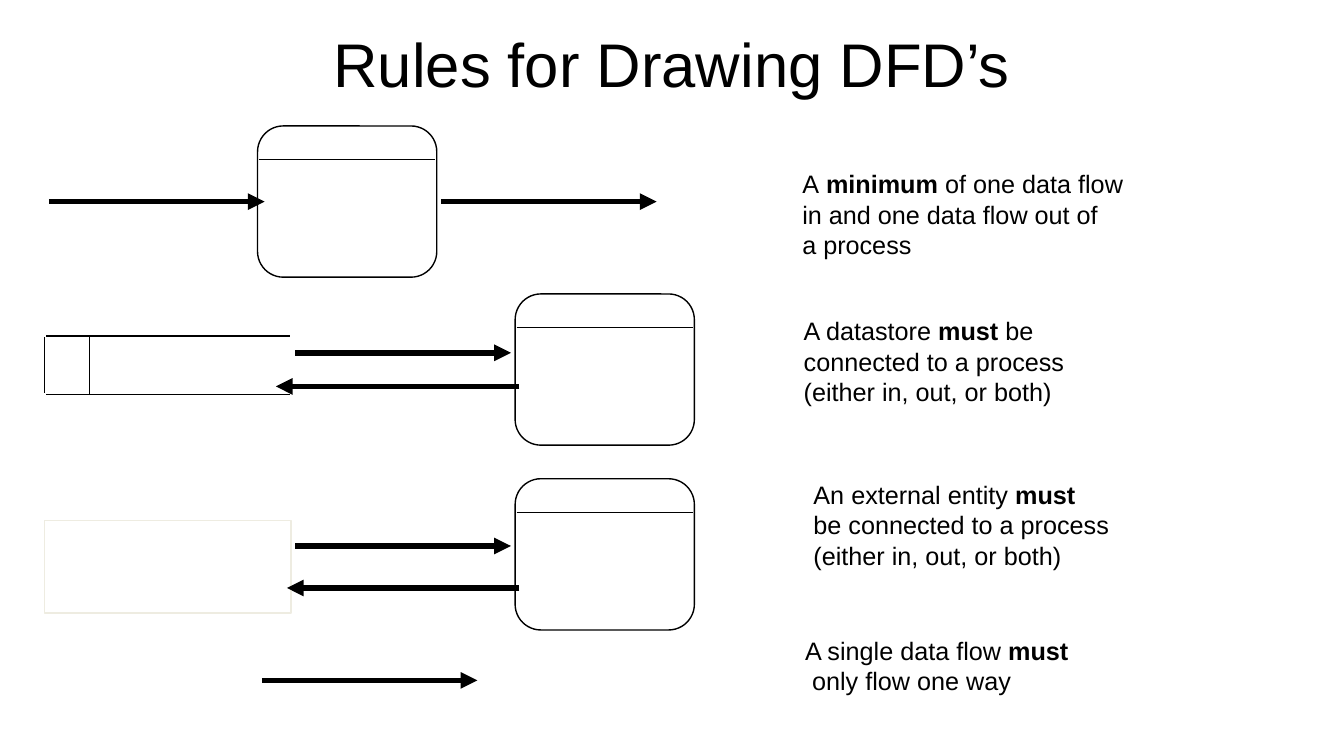
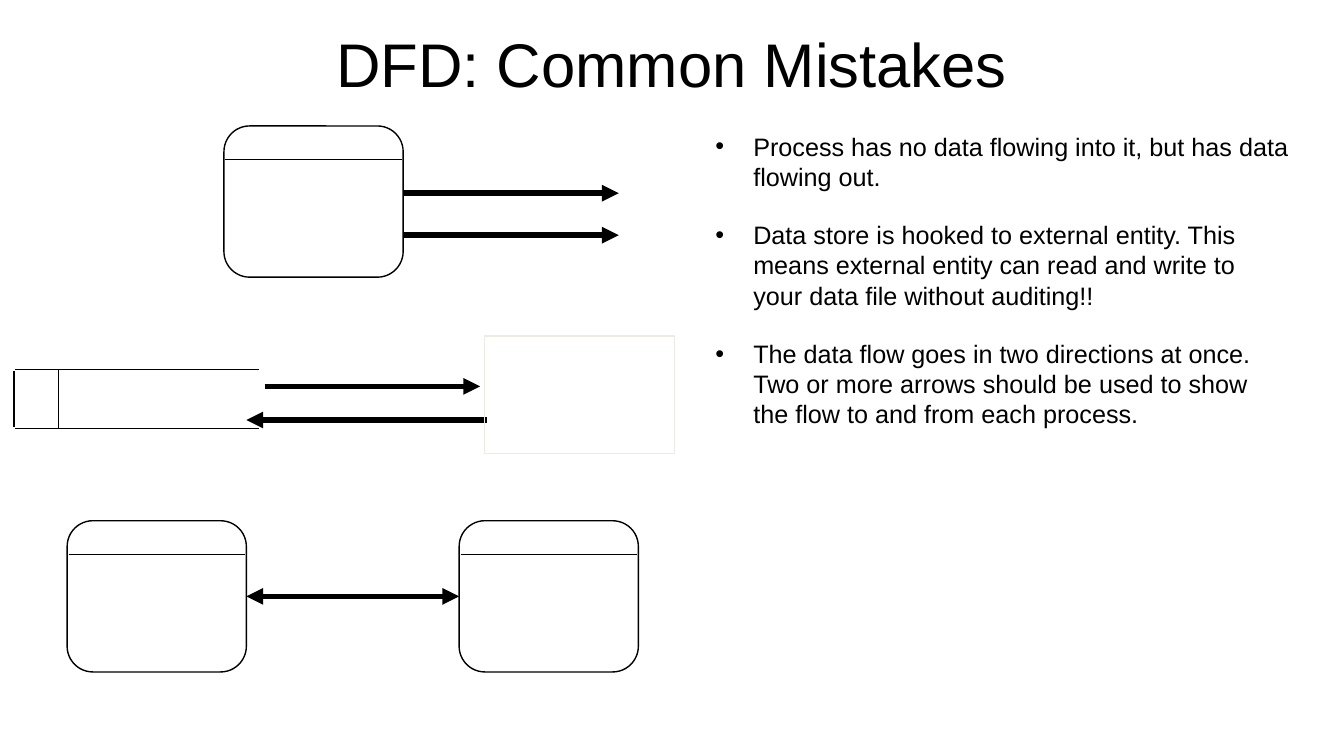
from dataclasses import dataclass

from lxml.etree import SubElement
from pptx import Presentation
from pptx.dml.color import RGBColor
from pptx.enum.shapes import MSO_CONNECTOR, MSO_SHAPE
from pptx.enum.text import MSO_ANCHOR, PP_ALIGN
from pptx.oxml.ns import qn
from pptx.shapes.autoshape import Shape
from pptx.shapes.connector import Connector
from pptx.slide import Slide
from pptx.text.text import TextFrame, _Paragraph
from pptx.util import Pt

COLORS = {"ink": "000000", "entity": "EEECE1"}
TITLE = {"name": "Arial", "size": Pt(44)}
BODY = {"name": "Arial", "size": Pt(18)}
PROCESS_W, PROCESS_H, PROCESS_BAND = 128, 108, 24
STORE_W, STORE_H, STORE_ID_W = 175, 42, 32
NOTE_W, NOTE_H = 260, 73
BULLET_INDENT, BULLET_GAP = 27, 20


@dataclass(frozen=True)
class Flow:
    """A horizontal data flow, pointing from x1 to x2."""
    x1: float
    x2: float
    y: float


@dataclass(frozen=True)
class Box:
    x: float
    y: float
    w: float
    h: float


@dataclass(frozen=True)
class Note:
    """A rule in words; text between asterisks is bold."""
    x: float
    y: float
    lines: tuple[str, ...]


RULE_PROCESSES = [(184, 90), (368, 210), (368, 342)]
RULE_FLOWS = [
    Flow(35, 189, 144), Flow(315, 469, 144),
    Flow(211, 365, 252), Flow(371, 197, 276),
    Flow(211, 365, 390), Flow(371, 205, 420),
    Flow(187, 341, 486),
]
RULE_NOTES = [
    Note(566, 117, ("A* minimum* of one data flow",
                    "in and one data flow out of", "a process")),
    Note(567, 222, ("A datastore *must *be", "connected to a process",
                    "(either in, out, or both)")),
    Note(574, 339, ("An external entity *must*", "be connected to a process",
                    "(either in, out, or both)")),
    Note(568, 450, ("A single data flow *must*", " only flow one way")),
]
MISTAKE_FLOWS = [
    Flow(288, 442, 138), Flow(288, 442, 168),
    Flow(189, 343, 276), Flow(348, 176, 300),
]
MISTAKES = [
    "Process has no data flowing into it, but has data flowing out.",
    "Data store is hooked to external entity. This means external entity "
    "can read and write to your data file without auditing!!",
    "The data flow goes in two directions at once. Two or more arrows "
    "should be used to show the flow to and from each process.",
]


def color(name: str) -> RGBColor:
    return RGBColor.from_string(COLORS[name])


def add_run(p: _Paragraph, text: str, fmt: dict) -> None:
    r = p.add_run()
    r.text = text
    for key, value in fmt.items():
        setattr(r.font, key, value)
    r.font.color.rgb = color("ink")


def add_text_frame(s: Slide, box: Box) -> TextFrame:
    tf = s.shapes.add_textbox(Pt(box.x), Pt(box.y), Pt(box.w), Pt(box.h)).text_frame
    tf.word_wrap = True
    return tf


def next_paragraph(tf: TextFrame, index: int) -> _Paragraph:
    return tf.add_paragraph() if index else tf.paragraphs[0]


def add_line(s: Slide, x1: float, y1: float, x2: float, y2: float,
             width: float = 1) -> Connector:
    line = s.shapes.add_connector(MSO_CONNECTOR.STRAIGHT, Pt(x1), Pt(y1), Pt(x2), Pt(y2))
    line.line.width = Pt(width)
    line.line.color.rgb = color("ink")
    SubElement(line._element.spPr, qn("a:effectLst"))
    return line


def add_flow(s: Slide, flow: Flow, both_ways: bool = False) -> Connector:
    line = add_line(s, flow.x1, flow.y, flow.x2, flow.y, width=4)
    ln = line.line._get_or_add_ln()
    for end in ("headEnd", "tailEnd") if both_ways else ("tailEnd",):
        SubElement(ln, qn(f"a:{end}"), type="triangle")
    return line


def add_outline(s: Slide, kind: MSO_SHAPE, box: Box, line_color: str) -> Shape:
    sp = s.shapes.add_shape(kind, Pt(box.x), Pt(box.y), Pt(box.w), Pt(box.h))
    sp.shadow.inherit = False
    sp.fill.background()
    sp.line.width = Pt(1)
    sp.line.color.rgb = color(line_color)
    return sp


def add_entity(s: Slide, box: Box) -> None:
    add_outline(s, MSO_SHAPE.RECTANGLE, box, "entity")


def add_process(s: Slide, x: float, y: float) -> Shape:
    sp = add_outline(s, MSO_SHAPE.ROUNDED_RECTANGLE, Box(x, y, PROCESS_W, PROCESS_H), "ink")
    sp.adjustments[0] = 0.17
    band_y = y + PROCESS_BAND
    add_line(s, x + 1, band_y, x + PROCESS_W - 1, band_y)
    return sp


def add_store(s: Slide, x: float, y: float) -> None:
    """Draw a data store: a box open on the right, with an ID cell."""
    for edge_y in (y, y + STORE_H):
        add_line(s, x + 1, edge_y, x + STORE_W, edge_y)
    add_line(s, x, y + 1, x, y + STORE_H - 1)
    add_line(s, x + STORE_ID_W, y, x + STORE_ID_W, y + STORE_H, width=0.75)


def add_note(s: Slide, note: Note) -> None:
    tf = add_text_frame(s, Box(note.x, note.y, NOTE_W, NOTE_H))
    for i, line in enumerate(note.lines):
        p = next_paragraph(tf, i)
        for j, part in enumerate(line.split("*")):
            if part:
                add_run(p, part, BODY | {"bold": j % 2 == 1})


def add_bullets(s: Slide, box: Box, items: list[str]) -> None:
    tf = add_text_frame(s, box)
    for i, item in enumerate(items):
        p = next_paragraph(tf, i)
        if i:
            p.space_before = Pt(BULLET_GAP)
        pPr = p._p.get_or_add_pPr()
        pPr.set("marL", str(Pt(BULLET_INDENT)))
        pPr.set("indent", str(-Pt(BULLET_INDENT)))
        SubElement(pPr, qn("a:buFont"), typeface="Arial")
        SubElement(pPr, qn("a:buChar"), char="•")
        add_run(p, item, BODY)


def add_titled_slide(prs: Presentation, title: str) -> Slide:
    s = prs.slides.add_slide(prs.slide_layouts[6])
    tf = add_text_frame(s, Box(72, 0, 816, 90))
    tf.vertical_anchor = MSO_ANCHOR.MIDDLE
    p = tf.paragraphs[0]
    p.alignment = PP_ALIGN.CENTER
    add_run(p, title, TITLE)
    return s


def build_rules(prs: Presentation) -> None:
    s = add_titled_slide(prs, "Rules for Drawing DFD’s")
    add_entity(s, Box(32, 372, 176, 66))
    add_store(s, 32, 240)
    for x, y in RULE_PROCESSES:
        add_process(s, x, y)
    for flow in RULE_FLOWS:
        add_flow(s, flow)
    for note in RULE_NOTES:
        add_note(s, note)


def build_mistakes(prs: Presentation) -> None:
    s = add_titled_slide(prs, "DFD: Common Mistakes")
    add_process(s, 160, 90)
    add_store(s, 10, 264)
    for flow in MISTAKE_FLOWS:
        add_flow(s, flow)
    add_entity(s, Box(346, 240, 136, 84))
    left, right = (add_process(s, x, 372) for x in (48, 328))
    two_way = add_flow(s, Flow(48 + PROCESS_W, 328, 372 + PROCESS_H / 2), both_ways=True)
    two_way.begin_connect(left, 3)
    two_way.end_connect(right, 1)
    add_bullets(s, Box(504, 90, 424, 372), MISTAKES)


def main() -> None:
    prs = Presentation()
    prs.slide_width, prs.slide_height = Pt(960), Pt(540)
    build_rules(prs)
    build_mistakes(prs)
    prs.save("out.pptx")


if __name__ == "__main__":
    main()
